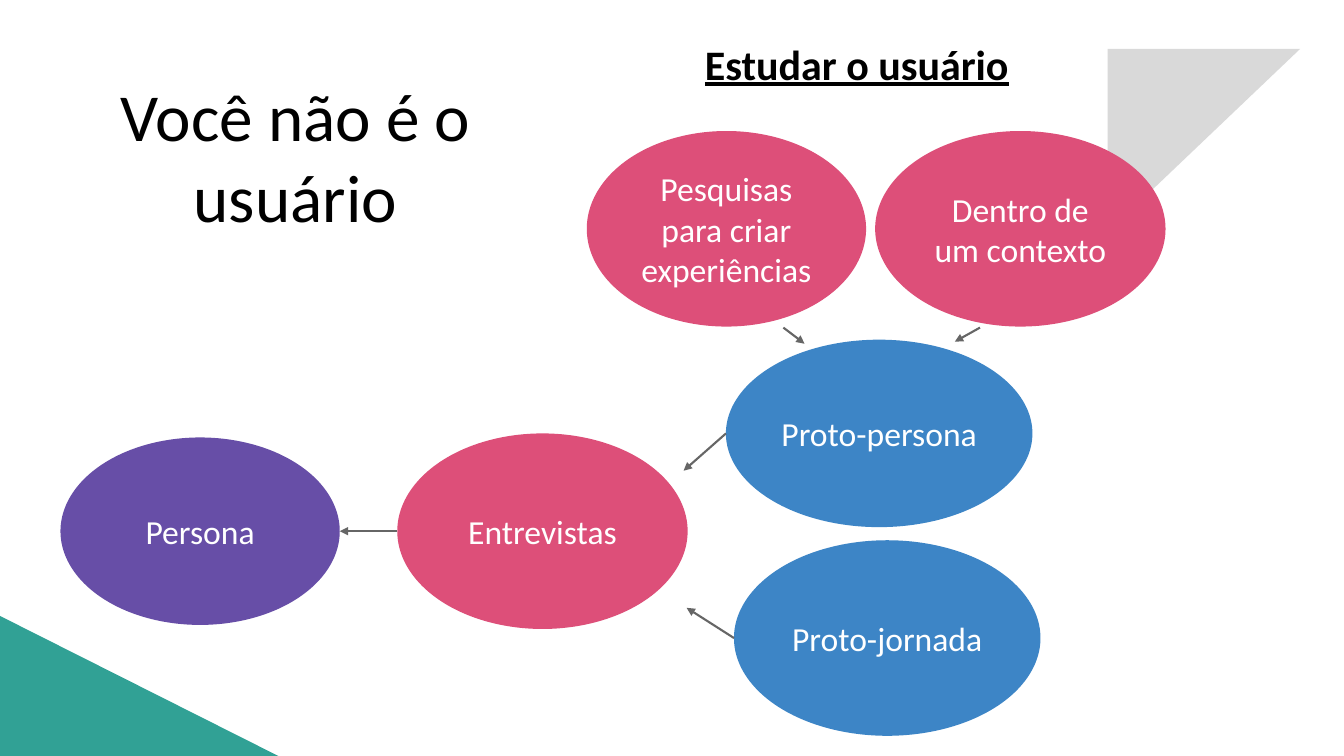
import pptx
import pptx.util
import pptx.dml.color
import pptx.enum.shapes
import pptx.enum.text
import pptx.oxml.ns
import lxml.etree

PX = 9144
PINK, BLUE, PURPLE = "DD4F79", "3D85C6", "674EA7"
TEAL, PALE, GREY = "31A195", "D9D9D9", "666666"
WHITE, BLACK = "FFFFFF", "000000"
KIND = pptx.enum.shapes.MSO_SHAPE


def px(*vals):
    """Turn whole pixels into EMU."""
    return [pptx.util.Emu(val * PX) for val in vals]


def tint(hue):
    """Turn a hex string into a colour."""
    return pptx.dml.color.RGBColor.from_string(hue)


class Board:
    """Hold the style and the current slide."""

    def __init__(self, deck, font="Calibri"):
        """Add a blank slide to the deck."""
        self.slide = deck.slides.add_slide(deck.slide_layouts[6])
        self.shapes = self.slide.shapes
        self.font = font

    def label(self, shape, text, size, hue, bold=False):
        """Put centred text in a shape."""
        frame = shape.text_frame
        frame.word_wrap = True
        frame.margin_left, frame.margin_right = px(10, 10)
        frame.margin_top, frame.margin_bottom = px(10, 10)
        frame.text = text
        para = frame.paragraphs[0]
        para.alignment = pptx.enum.text.PP_ALIGN.CENTER
        font = para.runs[0].font
        font.name, font.size = self.font, pptx.util.Pt(size)
        font.color.rgb = tint(hue)
        if bold:
            font.bold = font.underline = True

    def shape(self, kind, box, hue, turn=0):
        """Add a plain filled shape."""
        shape = self.shapes.add_shape(kind, *px(*box))
        shape.shadow.inherit = False
        shape.fill.solid()
        shape.fill.fore_color.rgb = tint(hue)
        shape.line.fill.background()
        shape.rotation = turn
        return shape

    def bubble(self, text, box, hue):
        """Add an ellipse with a label."""
        shape = self.shape(KIND.OVAL, box, hue)
        shape.text_frame.vertical_anchor = pptx.enum.text.MSO_ANCHOR.MIDDLE
        self.label(shape, text, 24, WHITE)

    def title(self, text, box, size, bold=False):
        """Add a heading."""
        self.label(self.shapes.add_textbox(*px(*box)), text, size, BLACK, bold)

    def arrow(self, start, end):
        """Add a thin arrow between two points."""
        kind = pptx.enum.shapes.MSO_CONNECTOR.STRAIGHT
        link = self.shapes.add_connector(kind, *px(*start, *end))
        link.line.color.rgb = tint(GREY)
        link.line.width = pptx.util.Pt(1.5)
        name = pptx.oxml.ns.qn
        props = link.element.spPr
        line = props.find(name("a:ln"))
        lxml.etree.SubElement(line, name("a:tailEnd"), type="triangle")
        lxml.etree.SubElement(props, name("a:effectLst"))


def main():
    """Build the slide and save it."""
    deck = pptx.Presentation()
    deck.slide_width, deck.slide_height = px(1333, 750)
    board = Board(deck)
    board.shape(KIND.RIGHT_TRIANGLE, (-8, 607, 300, 151), TEAL)
    board.shape(KIND.RIGHT_TRIANGLE, (1103, 44, 182, 191), PALE, 90)

    for text, box, hue in (
        ("Pesquisas para criar experiências", (582, 130, 277, 194), PINK),
        ("Dentro de um contexto", (868, 130, 288, 194), PINK),
        ("Proto-persona", (720, 337, 304, 186), BLUE),
        ("Proto-jornada", (728, 536, 304, 194), BLUE),
        ("Persona", (60, 434, 277, 186), PURPLE),
        ("Entrevistas", (394, 430, 288, 194), PINK),
    ):
        board.bubble(text, box, hue)

    board.title("Estudar o usuário", (686, 28, 328, 73), 30, bold=True)
    board.title("Você não é o usuário", (53, 64, 480, 90), 48)

    for start, end in (
        ((777, 325), (798, 341)),
        ((972, 325), (947, 339)),
        ((720, 430), (678, 467)),
        ((728, 633), (681, 603)),
        ((394, 527), (337, 527)),
    ):
        board.arrow(start, end)
    deck.save("out.pptx")


if __name__ == "__main__":
    main()
